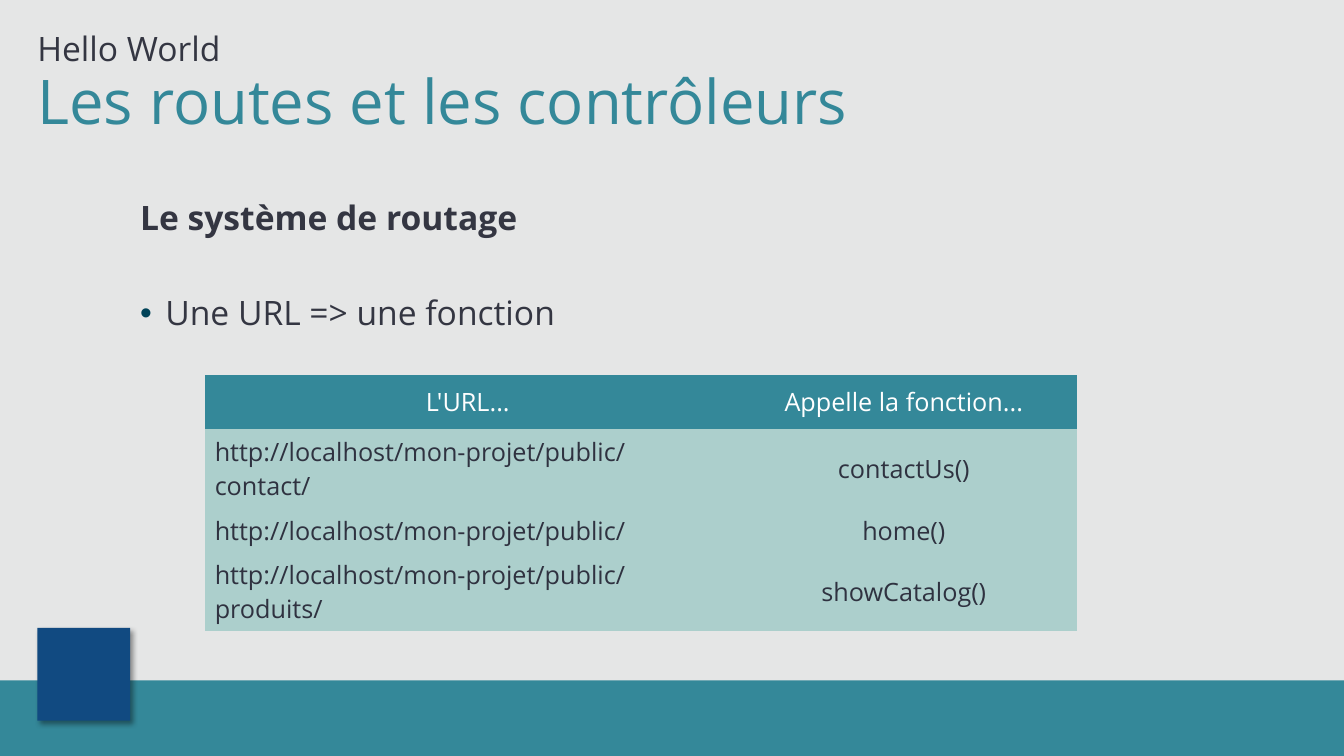
from lxml.etree import SubElement
from pptx import Presentation
from pptx.dml.color import RGBColor
from pptx.enum.shapes import MSO_SHAPE
from pptx.enum.text import MSO_ANCHOR, MSO_AUTO_SIZE, PP_ALIGN
from pptx.oxml.ns import qn
from pptx.util import Inches, Pt

FONT = "Open Sans"
TEAL, PALE_TEAL, NAVY = "348899", "ACCFCC", "114A81"
DARK, TABLE_TEXT, BULLET = "343642", "2F3240", "004358"
WHITE, BACKGROUND = "FFFFFF", "E5E6E6"
NO_STYLE_NO_GRID = "{2D5ABB26-0587-4C30-8999-92F81FD0307C}"


def color(hex_string):
    return RGBColor.from_string(hex_string)


class SlideBuilder:
    def __init__(self, presentation):
        self.slide = presentation.slides.add_slide(presentation.slide_layouts[4])
        fill = self.slide.background.fill
        fill.solid()
        fill.fore_color.rgb = color(BACKGROUND)

    def style(self, paragraph, size, text_color, bold=False):
        font = paragraph.font
        font.name, font.size, font.bold = FONT, Pt(size), bold
        font.color.rgb = color(text_color)

    def rectangle(self, left, top, width, height, fill_color, shadow=False):
        shape = self.slide.shapes.add_shape(
            MSO_SHAPE.RECTANGLE, Inches(left), Inches(top), Inches(width), Inches(height))
        shape.shadow.inherit = False
        shape.fill.solid()
        shape.fill.fore_color.rgb = color(fill_color)
        shape.line.fill.background()
        if shadow:
            effects = shape.element.spPr.find(qn("a:effectLst"))
            outer = SubElement(effects, qn("a:outerShdw"), blurRad=str(Pt(4)),
                               dist=str(Pt(3)), dir="2700000", algn="tl")
            black = SubElement(outer, qn("a:srgbClr"), val="000000")
            SubElement(black, qn("a:alpha"), val="40000")

    def bullet(self, paragraph, indent):
        properties = paragraph._p.get_or_add_pPr()
        properties.set("marL", str(Inches(indent)))
        properties.set("indent", str(Inches(-indent)))
        if indent:
            bullet_color = SubElement(properties, qn("a:buClr"))
            SubElement(bullet_color, qn("a:srgbClr"), val=BULLET)
            SubElement(properties, qn("a:buFont"), typeface="Arial")
            SubElement(properties, qn("a:buChar"), char="•")
        else:
            SubElement(properties, qn("a:buNone"))

    def placeholder(self, index, box, anchor, lines):
        """Each line is (text, size, color, bold, space before, bullet indent)."""
        shape = self.slide.placeholders[index]
        shape.left, shape.top, shape.width, shape.height = map(Inches, box)
        frame = shape.text_frame
        frame.margin_left = frame.margin_top = frame.margin_right = frame.margin_bottom = 0
        frame.word_wrap = True
        frame.auto_size = MSO_AUTO_SIZE.NONE
        frame.vertical_anchor = anchor
        frame.text = "\n".join(line[0] for line in lines)
        for paragraph, (_, size, text_color, bold, before, indent) in zip(frame.paragraphs, lines):
            paragraph.alignment = PP_ALIGN.LEFT
            paragraph.line_spacing = 0.9
            paragraph.space_before = Pt(before)
            self.bullet(paragraph, indent)
            self.style(paragraph, size, text_color, bold)

    def table(self, left, top, widths, heights, rows):
        frame = self.slide.shapes.add_table(
            len(rows), len(widths), Inches(left), Inches(top),
            Inches(sum(widths)), Inches(sum(heights)))
        next(frame.element.iter(qn("a:tableStyleId"))).text = NO_STYLE_NO_GRID
        table = frame.table
        for column, width in zip(table.columns, widths):
            column.width = Inches(width)
        for row_index, (row, height, texts) in enumerate(zip(table.rows, heights, rows)):
            row.height = Inches(height)
            header = row_index == 0
            for column_index, (cell, text) in enumerate(zip(row.cells, texts)):
                cell.text = text
                cell.vertical_anchor = MSO_ANCHOR.MIDDLE
                cell.fill.solid()
                cell.fill.fore_color.rgb = color(TEAL if header else PALE_TEAL)
                paragraph = cell.text_frame.paragraphs[0]
                centered = header or column_index > 0
                paragraph.alignment = PP_ALIGN.CENTER if centered else PP_ALIGN.LEFT
                self.style(paragraph, 18, WHITE if header else TABLE_TEXT)

    def remove_empty_placeholders(self):
        for shape in list(self.slide.placeholders):
            if not shape.text_frame.text:
                shape.element.getparent().remove(shape.element)


presentation = Presentation()
presentation.slide_width, presentation.slide_height = Inches(13.33), Inches(7.5)
builder = SlideBuilder(presentation)

# Footer band and emblem square
builder.rectangle(0, 6.75, 13.33, 0.75, TEAL)
builder.rectangle(0.37, 6.23, 0.92, 0.92, NAVY, shadow=True)

# Title, chapter name and list
builder.placeholder(0, (0.37, 0.7, 12.64, 0.67), MSO_ANCHOR.MIDDLE,
                    [("Les routes et les contrôleurs", 44, TEAL, False, 0, 0)])
builder.placeholder(1, (0.37, 0.21, 12.64, 0.47), MSO_ANCHOR.BOTTOM,
                    [("Hello World", 24, DARK, False, 0, 0)])
builder.placeholder(2, (1.39, 2, 11.62, 1.6), MSO_ANCHOR.TOP,
                    [("Le système de routage", 24, DARK, True, 0, 0),
                     ("Une URL => une fonction", 24, DARK, False, 42, 0.25)])
builder.remove_empty_placeholders()

# Routing table
base_url = "http://localhost/mon-projet/public/"
routes = [("contact/", "contactUs()"), ("", "home()"), ("produits/", "showCatalog()")]
builder.table(2.03, 3.72, [5.22, 3.43], [0.54] + [0.41] * len(routes),
              [("L'URL...", "Appelle la fonction...")]
              + [(base_url + page, function) for page, function in routes])

presentation.save("out.pptx")
